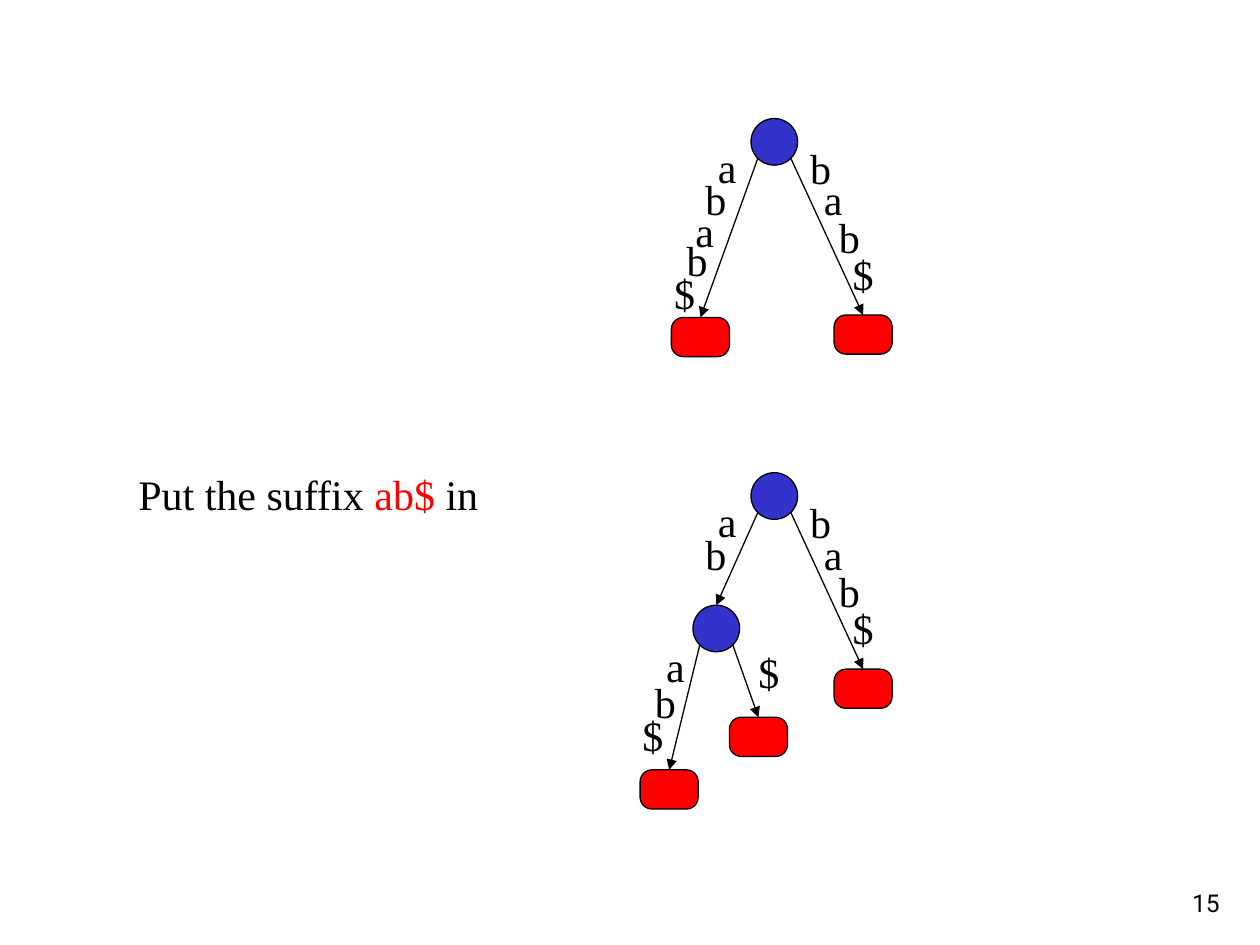
from lxml import etree
from pptx import Presentation
from pptx.dml.color import RGBColor
from pptx.enum.shapes import MSO_CONNECTOR, MSO_SHAPE
from pptx.enum.text import MSO_ANCHOR, PP_ALIGN
from pptx.oxml.ns import qn
from pptx.util import Cm, Pt

OVAL, ROUNDED = MSO_SHAPE.OVAL, MSO_SHAPE.ROUNDED_RECTANGLE
STRAIGHT = MSO_CONNECTOR.STRAIGHT
TOP, BOTTOM = MSO_ANCHOR.TOP, MSO_ANCHOR.BOTTOM
LEFT, RIGHT = PP_ALIGN.LEFT, PP_ALIGN.RIGHT

COLORS = {"text": "000000", "suffix": "FF0000", "line": "000000",
          "inner": "3333CC", "leaf": "FF0000"}

# Content, in cm: nodes by top centre, letters by box corner, y from the tree top
CAPTION = [("Put the suffix ", "text"), ("ab$", "suffix"), (" in", "text")]
PAGE_NUMBER = [("15", "text")]

ROOT = ("inner", 15.61, 0)
RIGHT_LEAF = ("leaf", 17.4, 3.96)
LEFT_LABEL = [("a", 14.22, 0.33), ("b", 13.97, 0.99), ("a", 13.77, 1.63),
              ("b", 13.59, 2.21), ("$", 13.34, 2.87)]
RIGHT_LABEL = [("b", 16.08, 0.36), ("a", 16.36, 0.99),
               ("b", 16.66, 1.75), ("$", 16.94, 2.49)]
SPLIT_LABEL = [("a", 13.18, 3.25), ("b", 12.95, 3.99), ("$", 12.7, 4.65)]

TREES = [
    {"top": 2.39,
     "nodes": {"root": ROOT, "abab$": ("leaf", 14.12, 4.01), "bab$": RIGHT_LEAF},
     "edges": [("root", "abab$", LEFT_LABEL), ("root", "bab$", RIGHT_LABEL)]},
    {"top": 9.53,
     "nodes": {"root": ROOT, "ab": ("inner", 14.44, 2.67), "bab$": RIGHT_LEAF,
               "abab$": ("leaf", 13.49, 5.99), "ab$": ("leaf", 15.29, 4.93)},
     "edges": [("root", "ab", LEFT_LABEL[:2]), ("root", "bab$", RIGHT_LABEL),
               ("ab", "abab$", SPLIT_LABEL), ("ab", "ab$", [("$", 15.04, 3.38)])]},
]

NODE_STYLES = {"inner": (OVAL, 0.94, 0.94), "leaf": (ROUNDED, 1.17, 0.79)}
RADIUS = 0.47
DIAGONAL = RADIUS * 0.71
LINE_WIDTH = Pt(0.75)
SERIF = {"name": "Times New Roman", "size": Pt(24)}
SANS = {"name": "Roboto", "size": Pt(14)}


def color(name):
    return RGBColor.from_string(COLORS[name])


def add_text(slide, runs, box, font, align=LEFT, anchor=TOP):
    frame = slide.shapes.add_textbox(*map(Cm, box)).text_frame
    frame.word_wrap = True
    frame.vertical_anchor = anchor
    paragraph = frame.paragraphs[0]
    paragraph.alignment = align
    for words, tint in runs:
        run = paragraph.add_run()
        run.text = words
        for attribute, value in font.items():
            setattr(run.font, attribute, value)
        run.font.color.rgb = color(tint)


def add_node(slide, kind, x, y):
    preset, width, height = NODE_STYLES[kind]
    node = slide.shapes.add_shape(preset, Cm(x - width / 2), Cm(y), Cm(width), Cm(height))
    if kind == "leaf":
        node.adjustments[0] = 0.3
    node.shadow.inherit = False
    node.fill.solid()
    node.fill.fore_color.rgb = color(kind)
    node.line.color.rgb = color("line")
    node.line.width = LINE_WIDTH
    return node


def add_edge(slide, parent, child, child_node, top):
    # Leaves the parent circle diagonally, on the side of the child
    side = 1 if child[1] > parent[1] else -1
    edge = slide.shapes.add_connector(
        STRAIGHT, Cm(parent[1] + side * DIAGONAL), Cm(top + parent[2] + RADIUS + DIAGONAL),
        Cm(child[1]), Cm(top + child[2]))
    edge.end_connect(child_node, 0)
    edge.line.color.rgb = color("line")
    edge.line.width = LINE_WIDTH
    etree.SubElement(edge.line._get_or_add_ln(), qn("a:tailEnd"), type="triangle")
    etree.SubElement(edge._element.spPr, qn("a:effectLst"))


def add_tree(slide, tree):
    top, nodes = tree["top"], tree["nodes"]
    drawn = {name: add_node(slide, kind, x, top + y)
             for name, (kind, x, y) in nodes.items()}
    for parent, child, label in tree["edges"]:
        add_edge(slide, nodes[parent], nodes[child], drawn[child], top)
        for letter, x, y in label:
            add_text(slide, [(letter, "text")], (x, top + y, 1.07, 1.27), SERIF)


def main():
    deck = Presentation()
    deck.slide_width, deck.slide_height = Cm(25.4), Cm(19.05)
    slide = deck.slides.add_slide(deck.slide_layouts[6])
    add_text(slide, CAPTION, (2.54, 9.32, 9.73, 1.27), SERIF)
    for tree in TREES:
        add_tree(slide, tree)
    add_text(slide, PAGE_NUMBER, (19.56, 17.35, 5.28, 1.27), SANS, RIGHT, BOTTOM)
    deck.save("out.pptx")


if __name__ == "__main__":
    main()
